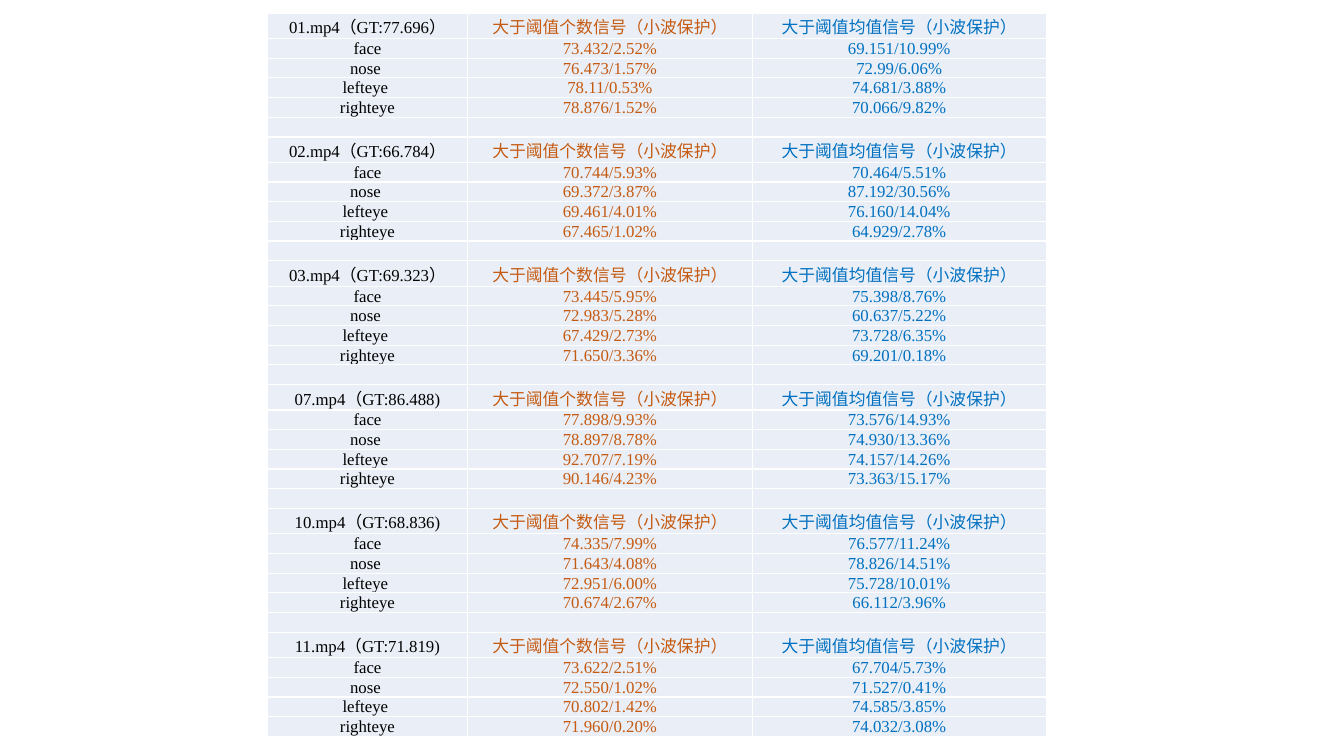
"""Build a slide with one table of heart-rate estimates per video and face region."""
from dataclasses import dataclass

from lxml import etree
from pptx import Presentation, util as u
from pptx.dml.color import RGBColor
from pptx.enum import text
from pptx.oxml import ns

BLACK = RGBColor(0x00, 0x00, 0x00)
ORANGE = RGBColor(0xC5, 0x5A, 0x11)
BLUE = RGBColor(0x00, 0x70, 0xC0)
PALE = RGBColor(0xEA, 0xEF, 0xF7)
WHITE = RGBColor(0xFF, 0xFF, 0xFF)

SLIDE_W, SLIDE_H = u.Inches(13.33), u.Inches(7.5)
LEFT_PCT, TOP_PCT, ROW_PCT = 19.88, 1.73, 2.53
FONT_NAME, FONT_SIZE = "Times New Roman", u.Pt(12)
CELL_FORMAT = {
    "vertical_anchor": text.MSO_ANCHOR.BOTTOM,
    "margin_left": u.Inches(0.01),
    "margin_right": u.Inches(0.01),
    "margin_top": u.Inches(0.01),
    "margin_bottom": 0,
}
REGIONS = ("face", "nose ", "lefteye ", "righteye")


@dataclass(frozen=True)
class Column:
    """A table column: heading, width in percent of the slide, text colour."""
    heading: str
    width_pct: float
    color: RGBColor


@dataclass(frozen=True)
class Video:
    """A video's title and its results by region, for each signal."""
    title: str
    counts: str
    means: str


COLUMNS = (
    Column("", 14.93, BLACK),
    Column("大于阈值个数信号（小波保护）", 21.15, ORANGE),
    Column("大于阈值均值信号（小波保护）", 21.9, BLUE),
)
VIDEOS = (
    Video("01.mp4（GT:77.696）",
          "73.432/2.52% 76.473/1.57% 78.11/0.53% 78.876/1.52%",
          "69.151/10.99% 72.99/6.06% 74.681/3.88% 70.066/9.82%"),
    Video("02.mp4（GT:66.784）",
          "70.744/5.93% 69.372/3.87% 69.461/4.01% 67.465/1.02%",
          "70.464/5.51% 87.192/30.56% 76.160/14.04% 64.929/2.78%"),
    Video("03.mp4（GT:69.323）",
          "73.445/5.95% 72.983/5.28% 67.429/2.73% 71.650/3.36%",
          "75.398/8.76% 60.637/5.22% 73.728/6.35% 69.201/0.18%"),
    Video("07.mp4（GT:86.488)",
          "77.898/9.93% 78.897/8.78% 92.707/7.19% 90.146/4.23%",
          "73.576/14.93% 74.930/13.36% 74.157/14.26% 73.363/15.17%"),
    Video("10.mp4（GT:68.836)",
          "74.335/7.99% 71.643/4.08% 72.951/6.00% 70.674/2.67%",
          "76.577/11.24% 78.826/14.51% 75.728/10.01% 66.112/3.96%"),
    Video("11.mp4（GT:71.819)",
          "73.622/2.51% 72.550/1.02% 70.802/1.42% 71.960/0.20%",
          "67.704/5.73% 71.527/0.41% 74.585/3.85% 74.032/3.08%"),
)


def across(pct: float) -> int:
    """Return a percentage of the slide width."""
    return round(SLIDE_W * pct / 100)


def down(pct: float) -> int:
    """Return a percentage of the slide height."""
    return round(SLIDE_H * pct / 100)


def table_rows() -> list[tuple[str, ...]]:
    """List all rows, with an empty row between videos."""
    rows: list[tuple[str, ...]] = []
    for video in VIDEOS:
        if rows:
            rows.append(("", "", ""))
        rows.append((video.title, *(c.heading for c in COLUMNS[1:])))
        rows.extend(zip(REGIONS, video.counts.split(), video.means.split()))
    return rows


def add_borders(cell) -> None:
    """Draw a white one-point line on each side of a cell."""
    tc_pr = cell._tc.get_or_add_tcPr()
    for i, side in enumerate(("lnL", "lnR", "lnT", "lnB")):
        ln = etree.Element(ns.qn(f"a:{side}"), w=str(u.Pt(1)))
        fill = etree.SubElement(ln, ns.qn("a:solidFill"))
        etree.SubElement(fill, ns.qn("a:srgbClr"), val=str(WHITE))
        tc_pr.insert(i, ln)


def fill_cell(cell, value: str, color: RGBColor) -> None:
    """Format one cell and write its text."""
    for name, setting in CELL_FORMAT.items():
        setattr(cell, name, setting)
    cell.fill.solid()
    cell.fill.fore_color.rgb = PALE
    add_borders(cell)
    p = cell.text_frame.paragraphs[0]
    p.alignment = text.PP_ALIGN.CENTER
    if value:
        r = p.add_run()
        r.text = value
        for name, setting in {"name": FONT_NAME, "size": FONT_SIZE}.items():
            setattr(r.font, name, setting)
        r.font.color.rgb = color
    else:
        end = etree.SubElement(p._p, ns.qn("a:endParaRPr"), sz="1200")
        etree.SubElement(end, ns.qn("a:latin"), typeface=FONT_NAME)


def add_results(s) -> None:
    """Add the results table to the slide."""
    rows = table_rows()
    width = across(sum(c.width_pct for c in COLUMNS))
    table = s.shapes.add_table(len(rows), len(COLUMNS), across(LEFT_PCT), down(TOP_PCT),
                               width, down(ROW_PCT) * len(rows)).table
    table.first_row = table.horz_banding = False
    for grid_col, column in zip(table.columns, COLUMNS):
        grid_col.width = across(column.width_pct)
    for row, values in zip(table.rows, rows):
        row.height = down(ROW_PCT)
        for cell, value, column in zip(row.cells, values, COLUMNS):
            fill_cell(cell, value, column.color)


def main() -> None:
    """Create the presentation and save it."""
    prs = Presentation()
    prs.slide_width, prs.slide_height = SLIDE_W, SLIDE_H
    add_results(prs.slides.add_slide(prs.slide_layouts[6]))
    prs.save("out.pptx")


if __name__ == "__main__":
    main()
